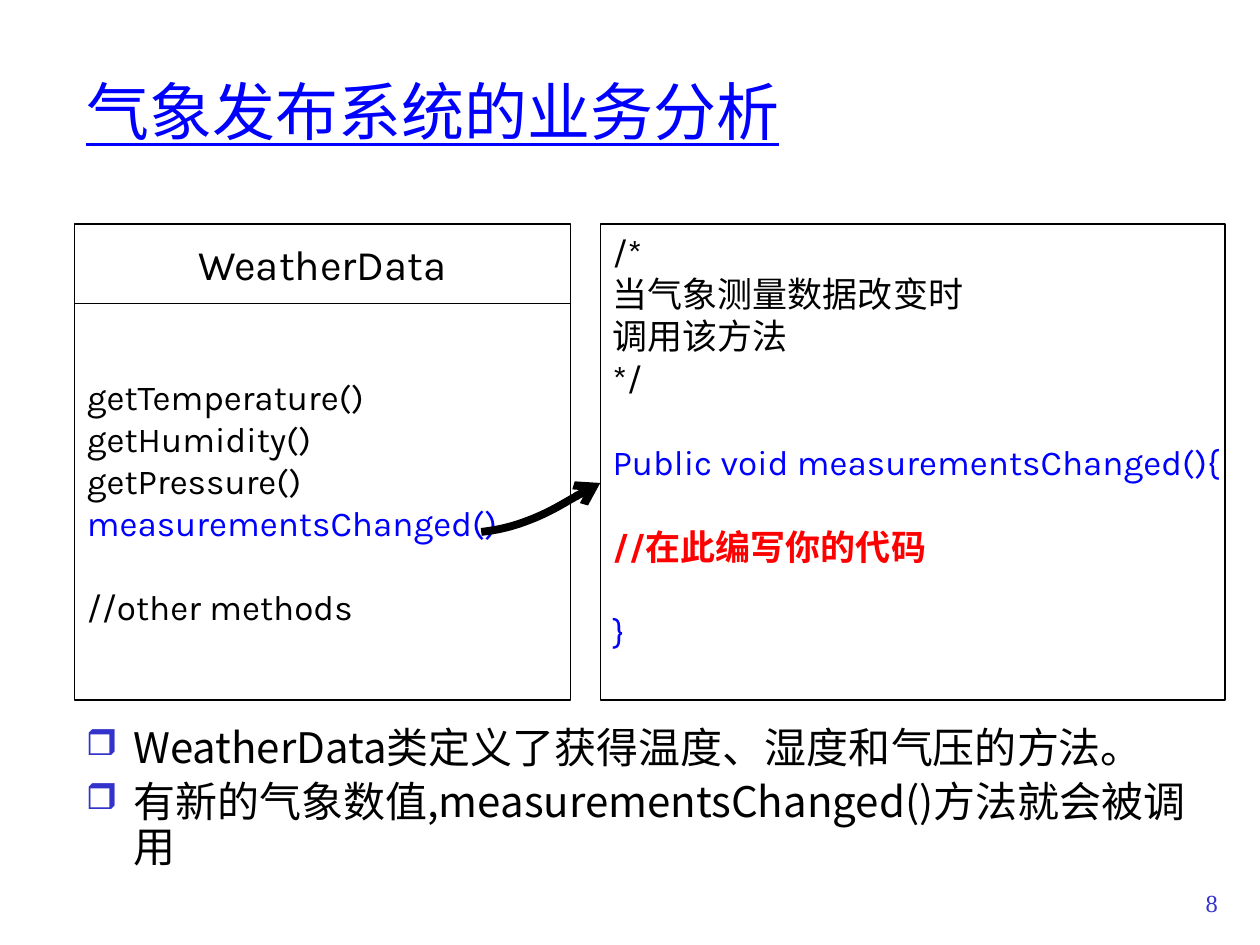
from lxml import etree
from pptx import Presentation
from pptx.dml.color import RGBColor
from pptx.enum.shapes import MSO_SHAPE
from pptx.enum.text import MSO_ANCHOR as Anchor, PP_ALIGN as Align
from pptx.oxml.ns import qn
from pptx.util import Pt

CJK, CODE, SERIF = "Noto Sans CJK SC", "Karla", "Times New Roman"
BLACK, BLUE, RED, INDIGO = "000000", "0000FF", "FF0000", "3333CC"
BLANK_LINE = 24


def color(value):
    return RGBColor.from_string(value)


class SlideBuilder:
    """Holds the slide and draws each kind of element; lengths are points."""

    def __init__(self, presentation):
        self.slide = presentation.slides.add_slide(presentation.slide_layouts[5])

    def run(self, paragraph, text, size, font, hue=BLACK, bold=False, underline=False):
        run = paragraph.add_run()
        run.text = text
        run.font.size, run.font.name = Pt(size), font
        run.font.bold, run.font.underline = bold, underline
        run.font.color.rgb = color(hue)
        east_asian = etree.SubElement(run.font._element, qn("a:ea"))
        east_asian.set("typeface", font)

    def title(self, text, left, top, width, height):
        shape = self.slide.shapes.title
        shape.left, shape.top = Pt(left), Pt(top)
        shape.width, shape.height = Pt(width), Pt(height)
        frame = shape.text_frame
        frame.word_wrap, frame.vertical_anchor = True, Anchor.MIDDLE
        paragraph = frame.paragraphs[0]
        paragraph.alignment = Align.LEFT
        self.run(paragraph, text, 36, CJK, BLUE, underline=True)

    def text_box(self, left, top, width, height):
        box = self.slide.shapes.add_textbox(Pt(left), Pt(top), Pt(width), Pt(height))
        box.text_frame.word_wrap = True
        return box.text_frame

    def bullets(self, items, left, top, width, height):
        frame = self.text_box(left, top, width, height)
        for index, text in enumerate(items):
            paragraph = frame.add_paragraph() if index else frame.paragraphs[0]
            paragraph.line_spacing = 0.9
            paragraph.space_before = Pt(4.8 if index else 0)
            properties = paragraph._p.get_or_add_pPr()
            properties.set("marL", str(Pt(27)))
            properties.set("indent", str(-Pt(27)))
            bullet_color = etree.SubElement(properties, qn("a:buClr"))
            etree.SubElement(bullet_color, qn("a:srgbClr")).set("val", INDIGO)
            etree.SubElement(properties, qn("a:buSzPct")).set("val", "85000")
            etree.SubElement(properties, qn("a:buChar")).set("char", "❒")
            self.run(paragraph, text, 24, CJK)

    def page_number(self, text, left, top, width, height):
        paragraph = self.text_box(left, top, width, height).paragraphs[0]
        paragraph.alignment = Align.RIGHT
        self.run(paragraph, text, 14, SERIF, INDIGO)

    def panel(self, lines, left, top, width, height, size=20, align=Align.LEFT,
              bottom_inset=3.6):
        """Outlined box; each line is (text, colour, bold, space before)."""
        shape = self.slide.shapes.add_shape(
            MSO_SHAPE.RECTANGLE, Pt(left), Pt(top), Pt(width), Pt(height))
        shape.shadow.inherit = False
        shape.fill.background()
        shape.line.color.rgb, shape.line.width = color(BLACK), Pt(0.75)
        frame = shape.text_frame
        frame.word_wrap, frame.vertical_anchor = True, Anchor.MIDDLE
        frame.margin_bottom = Pt(bottom_inset)
        if align == Align.LEFT:
            frame.margin_right = 0
        for index, (text, hue, bold, gap) in enumerate(lines):
            paragraph = frame.add_paragraph() if index else frame.paragraphs[0]
            paragraph.alignment = align
            paragraph.space_before = Pt(gap)
            self.run(paragraph, text, size, CODE, hue, bold)

    def curved_arrow(self, start, controls):
        """Smooth line whose later points come in threes, as Bezier curves."""
        builder = self.slide.shapes.build_freeform(Pt(start[0]), Pt(start[1]))
        builder.add_line_segments([(Pt(x), Pt(y)) for x, y in controls], close=False)
        shape = builder.convert_to_shape()
        shape.shadow.inherit = False
        shape.fill.background()
        shape.line.color.rgb, shape.line.width = color(BLACK), Pt(4.5)
        outline = shape._element.find(".//" + qn("a:path"))
        segments = outline.findall(qn("a:lnTo"))
        for first in range(0, len(segments), 3):
            curve = etree.SubElement(outline, qn("a:cubicBezTo"))
            for segment in segments[first:first + 3]:
                curve.append(segment[0])
                outline.remove(segment)
        line = shape.line._get_or_add_ln()
        etree.SubElement(line, qn("a:tailEnd")).set("type", "arrow")


def main():
    presentation = Presentation()
    presentation.slide_width, presentation.slide_height = Pt(720), Pt(540)
    builder = SlideBuilder(presentation)

    # Title, explanation and page number
    builder.title("气象发布系统的业务分析", 42, 18, 612, 90)
    builder.bullets([
        "WeatherData类定义了获得温度、湿度和气压的方法。",
        "有新的气象数值,measurementsChanged()方法就会被调用",
    ], 42, 412, 658, 80)
    builder.page_number("8", 655, 504, 48, 36)

    # Class box: name above, methods below
    builder.panel([("WeatherData", BLACK, False, 0)], 42.5, 128, 283.5, 45.5,
                  size=24, align=Align.CENTER)
    builder.panel([
        ("getTemperature()", BLACK, False, 0),
        ("getHumidity()", BLACK, False, 0),
        ("getPressure()", BLACK, False, 0),
        ("measurementsChanged()", BLUE, False, 0),
        ("//other methods", BLACK, False, BLANK_LINE),
    ], 42.5, 173.5, 283.5, 226.5)

    # Code of the method
    builder.panel([
        ("/*", BLACK, False, 0),
        ("当气象测量数据改变时", BLACK, False, 0),
        ("调用该方法", BLACK, False, 0),
        ("*/", BLACK, False, 0),
        ("Public void measurementsChanged(){", BLUE, False, BLANK_LINE),
        ("//在此编写你的代码", RED, True, BLANK_LINE),
        ("}", BLUE, False, BLANK_LINE),
    ], 343, 128, 357, 272, bottom_inset=3.6 + BLANK_LINE)

    # Arrow from the method to its code
    builder.curved_arrow((275, 304), [
        (283.5, 303), (291.5, 301.5), (303, 297),
        (314.5, 292.5), (336, 279.5), (343, 276),
    ])

    presentation.save("out.pptx")


if __name__ == "__main__":
    main()
